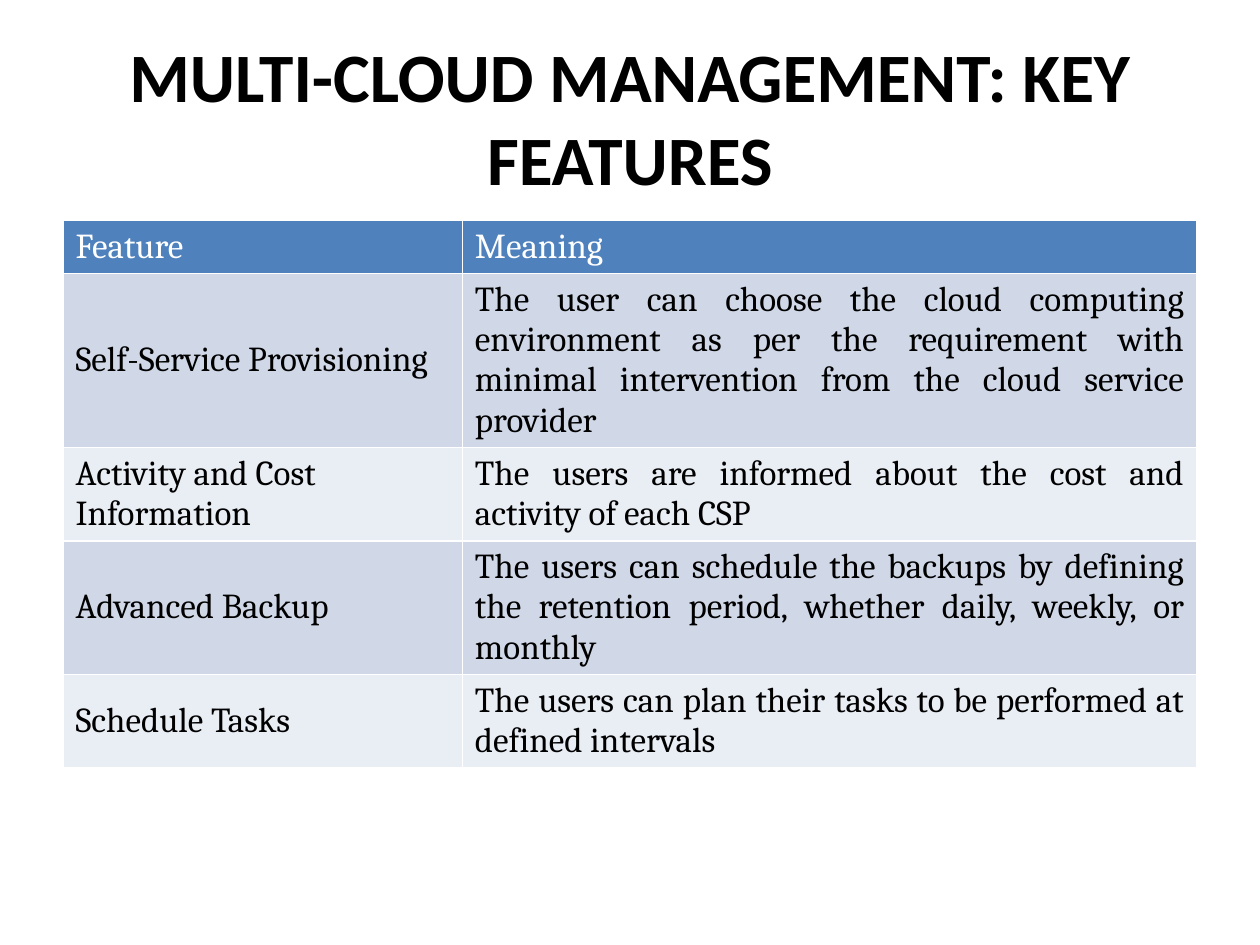
"""Build a slide with a table of the key features of multi-cloud management."""
from pptx import Presentation
from pptx import util as u
from pptx.dml.color import RGBColor
from pptx.enum import text

COLORS = {"header": "4F81BD", "odd": "D0D8E8", "even": "E9EDF4",
          "dark": "000000", "light": "FFFFFF"}
WIDTH, HEIGHT = u.Inches(10), u.Inches(7.5)
MARGIN = 0.05
COLUMN_SHARES = (0.317, 0.583)
ROW_HEIGHT = u.Inches(0.41)
TITLE = "MULTI-CLOUD MANAGEMENT: KEY FEATURES"
ROWS = [
    ("Feature", "Meaning"),
    ("Self-Service Provisioning",
     "The user can choose the cloud computing environment as per the requirement "
     "with minimal intervention from the cloud service provider "),
    ("Activity and Cost Information",
     "The users are informed about the cost and activity of each CSP"),
    ("Advanced Backup",
     "The users can schedule the backups by defining the retention period, "
     "whether daily, weekly, or monthly"),
    ("Schedule Tasks",
     "The users can plan their tasks to be performed at defined intervals"),
]


def format_font(font, color, **values):
    """Set the colour and the given attributes of a font."""
    font.color.rgb = RGBColor.from_string(COLORS[color])
    for name, value in values.items():
        setattr(font, name, value)


def add_title(slide):
    """Place and format the title placeholder."""
    title = slide.shapes.title
    place = {"left": int(WIDTH * MARGIN), "top": int(HEIGHT * 0.04),
             "width": int(WIDTH * (1 - 2 * MARGIN)), "height": u.Inches(1.25)}
    for name, value in place.items():
        setattr(title, name, value)
    frame = title.text_frame
    frame.text = TITLE
    frame.auto_size = text.MSO_AUTO_SIZE.NONE
    frame.vertical_anchor = text.MSO_ANCHOR.MIDDLE
    paragraph = frame.paragraphs[0]
    paragraph.alignment = text.PP_ALIGN.CENTER
    format_font(paragraph.runs[0].font, "dark", name="Calibri", size=u.Pt(39.6), bold=True)


def fill_cell(cell, words, row, column):
    """Write a cell and format it by its row and column."""
    is_header = row == 0
    cell.text = words
    cell.fill.solid()
    fill = "header" if is_header else "odd" if row % 2 else "even"
    cell.fill.fore_color.rgb = RGBColor.from_string(COLORS[fill])
    paragraph = cell.text_frame.paragraphs[0]
    if not is_header and column == 0:
        cell.vertical_anchor = text.MSO_ANCHOR.MIDDLE
    elif not is_header:
        paragraph.alignment = text.PP_ALIGN.JUSTIFY
    format_font(paragraph.runs[0].font, "light" if is_header else "dark",
                name="Cambria", size=u.Pt(20), bold=False)


def add_feature_table(slide):
    """Add the table of features and their meanings."""
    table = slide.shapes.add_table(
        len(ROWS), len(COLUMN_SHARES), int(WIDTH * MARGIN), u.Inches(1.75),
        int(WIDTH * sum(COLUMN_SHARES)), ROW_HEIGHT * len(ROWS)).table
    for column, share in zip(table.columns, COLUMN_SHARES):
        column.width = int(WIDTH * share)
    for row, entries in enumerate(ROWS):
        for column, words in enumerate(entries):
            fill_cell(table.cell(row, column), words, row, column)


def main():
    """Create and save the presentation."""
    presentation = Presentation()
    presentation.slide_width, presentation.slide_height = WIDTH, HEIGHT
    slide = presentation.slides.add_slide(presentation.slide_layouts[5])
    add_title(slide)
    add_feature_table(slide)
    presentation.save("out.pptx")


if __name__ == "__main__":
    main()
